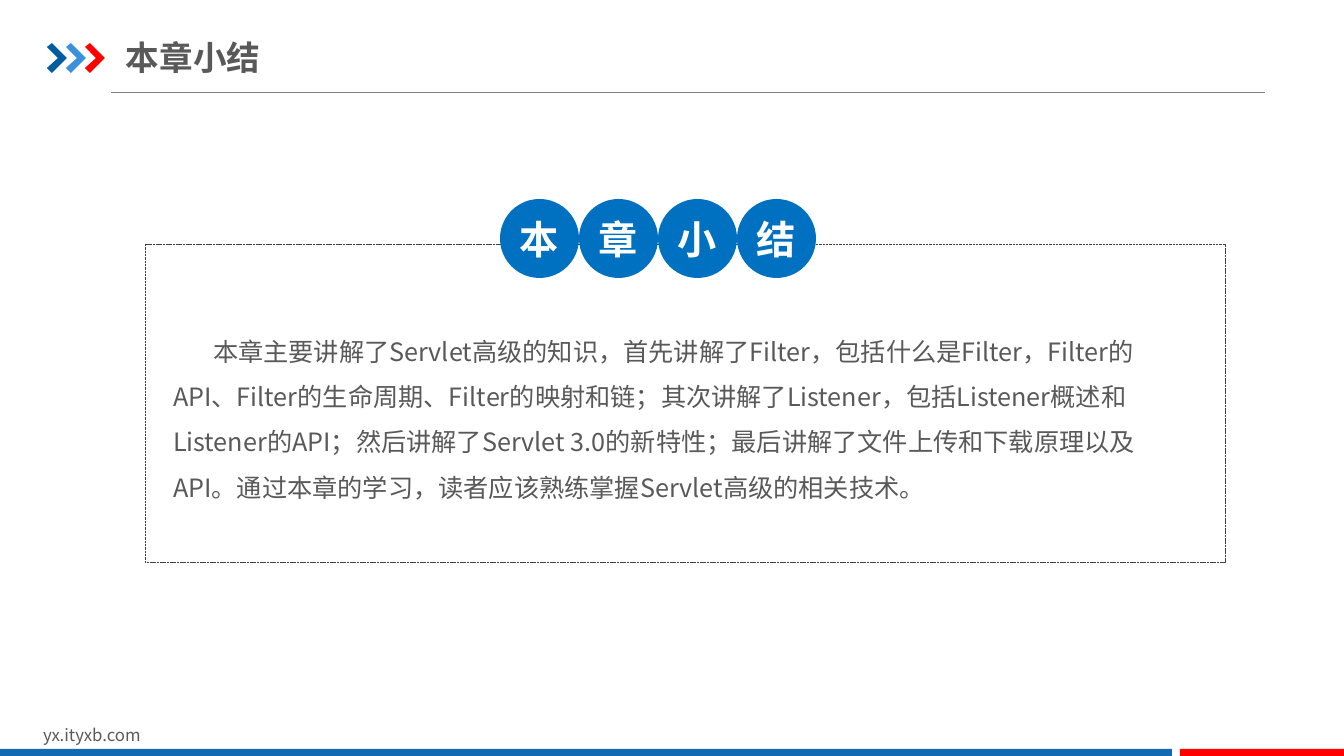
"""Build the chapter summary slide."""
from lxml import etree
from pptx import Presentation
from pptx.dml.color import RGBColor
from pptx.enum.dml import MSO_LINE
from pptx.enum.shapes import MSO_CONNECTOR, MSO_SHAPE
from pptx.enum.text import MSO_ANCHOR, PP_ALIGN
from pptx.oxml.ns import qn
from pptx.util import Emu, Pt

RECTANGLE, OVAL = MSO_SHAPE.RECTANGLE, MSO_SHAPE.OVAL
STRAIGHT, DASH = MSO_CONNECTOR.STRAIGHT, MSO_LINE.SQUARE_DOT
TOP, MIDDLE = MSO_ANCHOR.TOP, MSO_ANCHOR.MIDDLE
LEFT, CENTER = PP_ALIGN.LEFT, PP_ALIGN.CENTER

TITLE = "本章小结"
SUMMARY = (
    "本章主要讲解了Servlet高级的知识，首先讲解了Filter，包括什么是Filter，"
    "Filter的API、Filter的生命周期、Filter的映射和链；其次讲解了Listener，"
    "包括Listener概述和Listener的API；然后讲解了Servlet 3.0的新特性；"
    "最后讲解了文件上传和下载原理以及API。通过本章的学习，"
    "读者应该熟练掌握Servlet高级的相关技术。"
)
WEBSITE = "yx.ityxb.com"
FONT = "Noto Sans CJK SC"
COLORS = {
    "text": "595959", "white": "FFFFFF", "rule": "808080", "frame": "404040",
    "circle": "0070C0", "navy": "005DA2", "sky": "3992DB", "red": "FF0000",
    "footer": "1369B2",
}
CHEVRON_COLORS = ["navy", "sky", "red"]
CHEVRON_POINTS = [(0, 4), (5, 0), (20, 15), (5, 30), (0, 25), (11, 15)]
CHEVRON_LEFT, CHEVRON_TOP, CHEVRON_STEP = 47, 43, 19
FOOTER_BARS = [(0, 1172, "footer"), (1180, 164, "red")]
CIRCLE_LEFT, CIRCLE_TOP, CIRCLE_SIZE = 500, 199, 79
SCALE = 914400 / 100.8


def px(length):
    return Emu(round(length * SCALE))


def color(name):
    return RGBColor.from_string(COLORS[name])


def place(shape, left, top, width, height):
    shape.left, shape.top = px(left), px(top)
    shape.width, shape.height = px(width), px(height)


def write(shape, text, size, ink="text", bold=False, align=LEFT,
          anchor=TOP, inset=(0, 0)):
    frame = shape.text_frame
    frame.word_wrap = True
    frame.vertical_anchor = anchor
    frame.margin_left = frame.margin_right = px(inset[0])
    frame.margin_top = frame.margin_bottom = px(inset[1])
    paragraph = frame.paragraphs[0]
    paragraph.alignment = align
    run = paragraph.add_run()
    run.text = text
    run.font.size, run.font.bold = Pt(size), bold
    run.font.color.rgb = color(ink)
    run.font.name = FONT
    east_asian = etree.SubElement(run.font._element, qn("a:ea"))
    east_asian.set("typeface", FONT)
    return paragraph


def paint(shape, fill):
    shape.shadow.inherit = False
    shape.fill.solid()
    shape.fill.fore_color.rgb = color(fill)
    shape.line.fill.background()


def add_shape(shapes, kind, left, top, width, height):
    return shapes.add_shape(kind, px(left), px(top), px(width), px(height))


def add_text_box(shapes, left, top, width, height):
    return shapes.add_textbox(px(left), px(top), px(width), px(height))


def add_header(shapes):
    rule = shapes.add_connector(STRAIGHT, px(111), px(92), px(1265), px(92))
    rule.line.color.rgb = color("rule")
    rule.line.width = Pt(0.5)
    etree.SubElement(rule._element.spPr, qn("a:effectLst"))
    for index, fill in enumerate(CHEVRON_COLORS):
        left = CHEVRON_LEFT + index * CHEVRON_STEP
        points = [(left + x, CHEVRON_TOP + y) for x, y in CHEVRON_POINTS]
        builder = shapes.build_freeform(*points[0], scale=SCALE)
        builder.add_line_segments(points[1:], close=True)
        paint(builder.convert_to_shape(), fill)
    place(shapes.title, 126, 29, 429, 56)
    write(shapes.title, TITLE, 24, bold=True, anchor=MIDDLE, inset=(0, 7))


def add_summary(shapes):
    frame = add_shape(shapes, RECTANGLE, 145, 244, 1080, 318)
    frame.shadow.inherit = False
    frame.fill.background()
    frame.line.color.rgb = color("frame")
    frame.line.width = Pt(0.25)
    frame.line.dash_style = DASH
    for index, character in enumerate(TITLE):
        left = CIRCLE_LEFT + index * CIRCLE_SIZE
        circle = add_shape(shapes, OVAL, left, CIRCLE_TOP, CIRCLE_SIZE, CIRCLE_SIZE)
        paint(circle, "circle")
        write(circle, character, 28, "white", True, CENTER, MIDDLE)
    box = add_text_box(shapes, 160, 314, 1047, 197)
    paragraph = write(box, SUMMARY, 18, inset=(13, 7))
    paragraph.line_spacing = 1.5
    paragraph._p.get_or_add_pPr().set("indent", str(px(40)))


def add_footer(shapes):
    write(add_text_box(shapes, 33, 720, 321, 30), WEBSITE, 12, inset=(10, 5))
    for left, width, fill in FOOTER_BARS:
        paint(add_shape(shapes, RECTANGLE, left, 749, width, 7), fill)


def main():
    presentation = Presentation()
    presentation.slide_width, presentation.slide_height = px(1344), px(756)
    slide = presentation.slides.add_slide(presentation.slide_layouts[5])
    add_header(slide.shapes)
    add_summary(slide.shapes)
    add_footer(slide.shapes)
    presentation.save("out.pptx")


if __name__ == "__main__":
    main()
